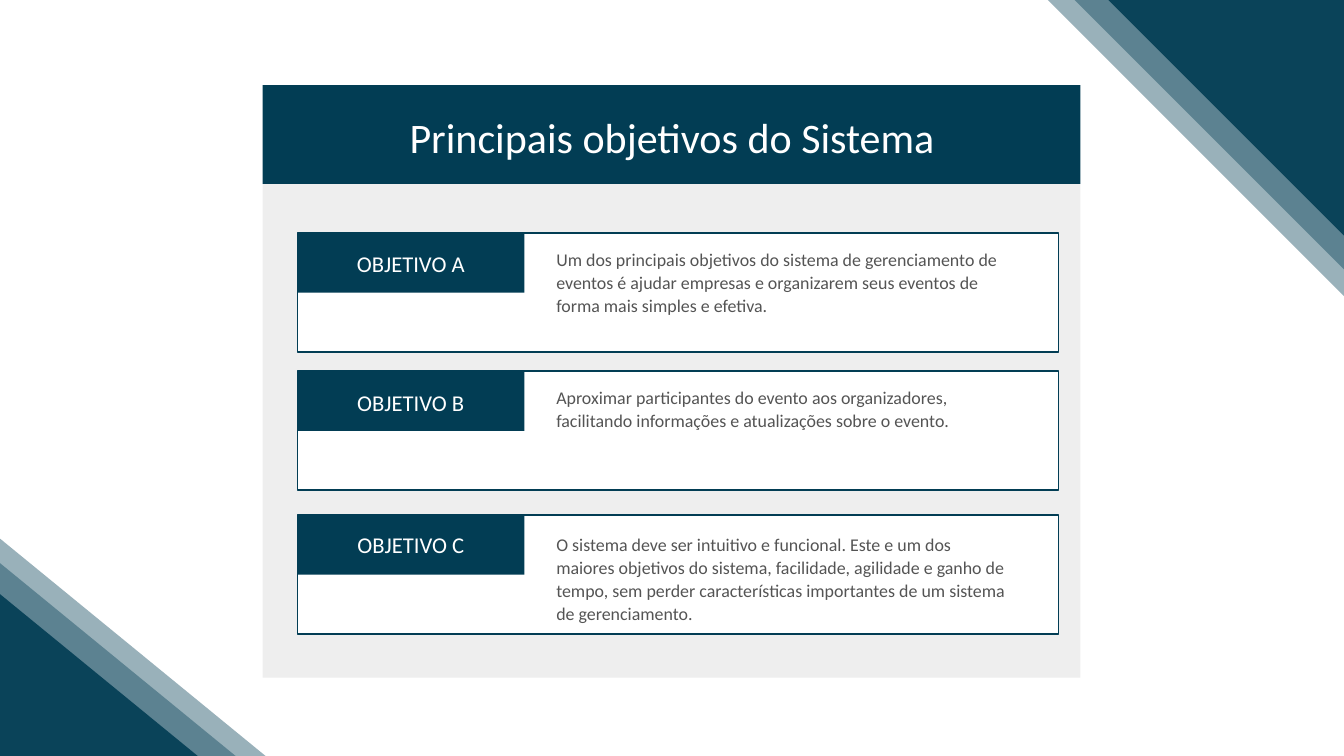
from lxml.etree import SubElement
from pptx import Presentation
from pptx.dml.color import RGBColor
from pptx.enum.shapes import MSO_SHAPE
from pptx.enum.text import MSO_ANCHOR, MSO_AUTO_SIZE, PP_ALIGN
from pptx.oxml.ns import qn
from pptx.util import Pt

NAVY = RGBColor(0x02, 0x3D, 0x54)
PANEL_GRAY = RGBColor(0xEE, 0xEE, 0xEE)
TEXT_GRAY = RGBColor(0x54, 0x54, 0x54)
WHITE = RGBColor(0xFF, 0xFF, 0xFF)

PANEL_LEFT, PANEL_WIDTH = 281.5, 876
CARD_LEFT, CARD_WIDTH, CARD_HEIGHT = 318.8, 815.6, 127.6
TAG_WIDTH, TAG_HEIGHT = 243, 64
STRIPE_WIDTH, STRIPE_HEIGHT = 460.8, 682.6

# Label, text, then the tops of the card, the label and the text
OBJECTIVES = [
    ("OBJETIVO A",
     "Um dos principais objetivos do sistema de gerenciamento de eventos é ajudar "
     "empresas e organizarem seus eventos de forma mais simples e efetiva.",
     249.6, 265.7, 264.2),
    ("OBJETIVO B",
     "Aproximar participantes do evento aos organizadores, facilitando informações "
     "e atualizações sobre o evento.",
     397.6, 414, 412.6),
    ("OBJETIVO C",
     "O sistema deve ser intuitivo e funcional. Este e um dos maiores objetivos do "
     "sistema, facilidade, agilidade e ganho de tempo, sem perder características "
     "importantes de um sistema de gerenciamento.",
     551.8, 566, 569.5),
]

# Vertical offset and opacity (percent) of the layered corner stripes
STRIPES = [(0, 40), (28.6, 40), (64.8, 90)]


def write_text(frame, text, size, color, line_spacing, align=PP_ALIGN.LEFT):
    frame.word_wrap = True
    frame.auto_size = MSO_AUTO_SIZE.SHAPE_TO_FIT_TEXT
    frame.vertical_anchor = MSO_ANCHOR.TOP
    frame.margin_left = frame.margin_right = 0
    frame.margin_top = frame.margin_bottom = 0
    paragraph = frame.paragraphs[0]
    paragraph.text = text
    paragraph.alignment = align
    paragraph.line_spacing = Pt(line_spacing)
    paragraph.space_before = Pt(0)
    paragraph.font.name = "Calibri"
    paragraph.font.size = Pt(size)
    paragraph.font.color.rgb = color


class SlideBuilder:
    def __init__(self, slide):
        self.slide = slide

    def rectangle(self, left, top, width, height, fill, line=None):
        shape = self.slide.shapes.add_shape(
            MSO_SHAPE.RECTANGLE, Pt(left), Pt(top), Pt(width), Pt(height))
        shape.shadow.inherit = False
        shape.fill.solid()
        shape.fill.fore_color.rgb = fill
        if line is None:
            shape.line.fill.background()
        else:
            shape.line.color.rgb = line
            shape.line.width = Pt(1.5)
        return shape

    def stripe(self, left, top, rotation, opacity):
        shape = self.rectangle(left, top, STRIPE_WIDTH, STRIPE_HEIGHT, NAVY)
        shape.rotation = rotation
        color = shape.fill._xPr.find(qn("a:solidFill"))[0]
        SubElement(color, qn("a:alpha")).set("val", str(opacity * 1000))

    def text(self, left, top, width, height, text, **text_format):
        box = self.slide.shapes.add_textbox(Pt(left), Pt(top), Pt(width), Pt(height))
        write_text(box.text_frame, text, **text_format)

    def title(self, left, top, width, height, text, **text_format):
        """Place the title in front of everything drawn so far."""
        title = self.slide.shapes.title
        title.left, title.top = Pt(left), Pt(top)
        title.width, title.height = Pt(width), Pt(height)
        write_text(title.text_frame, text, **text_format)
        title.element.getparent().append(title.element)


def main():
    presentation = Presentation()
    presentation.slide_width, presentation.slide_height = Pt(1440), Pt(810)
    slide = presentation.slides.add_slide(presentation.slide_layouts[5])
    builder = SlideBuilder(slide)

    builder.rectangle(PANEL_LEFT, 197, PANEL_WIDTH, 529, PANEL_GRAY)
    builder.rectangle(PANEL_LEFT, 91.2, PANEL_WIDTH, 105.8, NAVY)
    builder.title(162, 114.5, 1116, 57, "Principais objetivos do Sistema",
                  size=45, color=WHITE, line_spacing=58.5, align=PP_ALIGN.CENTER)

    for label, text, card_top, label_top, text_top in OBJECTIVES:
        builder.rectangle(CARD_LEFT, card_top, CARD_WIDTH, CARD_HEIGHT, WHITE, line=NAVY)
        builder.rectangle(CARD_LEFT, card_top, TAG_WIDTH, TAG_HEIGHT, NAVY)
        builder.text(339, label_top, 202.4, 30.2, label, size=24.2, color=WHITE,
                     line_spacing=31.4, align=PP_ALIGN.CENTER)
        builder.text(596, text_top, 483, 97.2, text, size=19.2, color=TEXT_GRAY,
                     line_spacing=24.9)

    for offset, opacity in STRIPES:
        builder.stripe(1175.8, -383.8 - offset, 315, opacity)
        builder.stripe(-234 + offset / 10, 530.6 + offset, 129.3, opacity)

    presentation.save("out.pptx")


if __name__ == "__main__":
    main()
